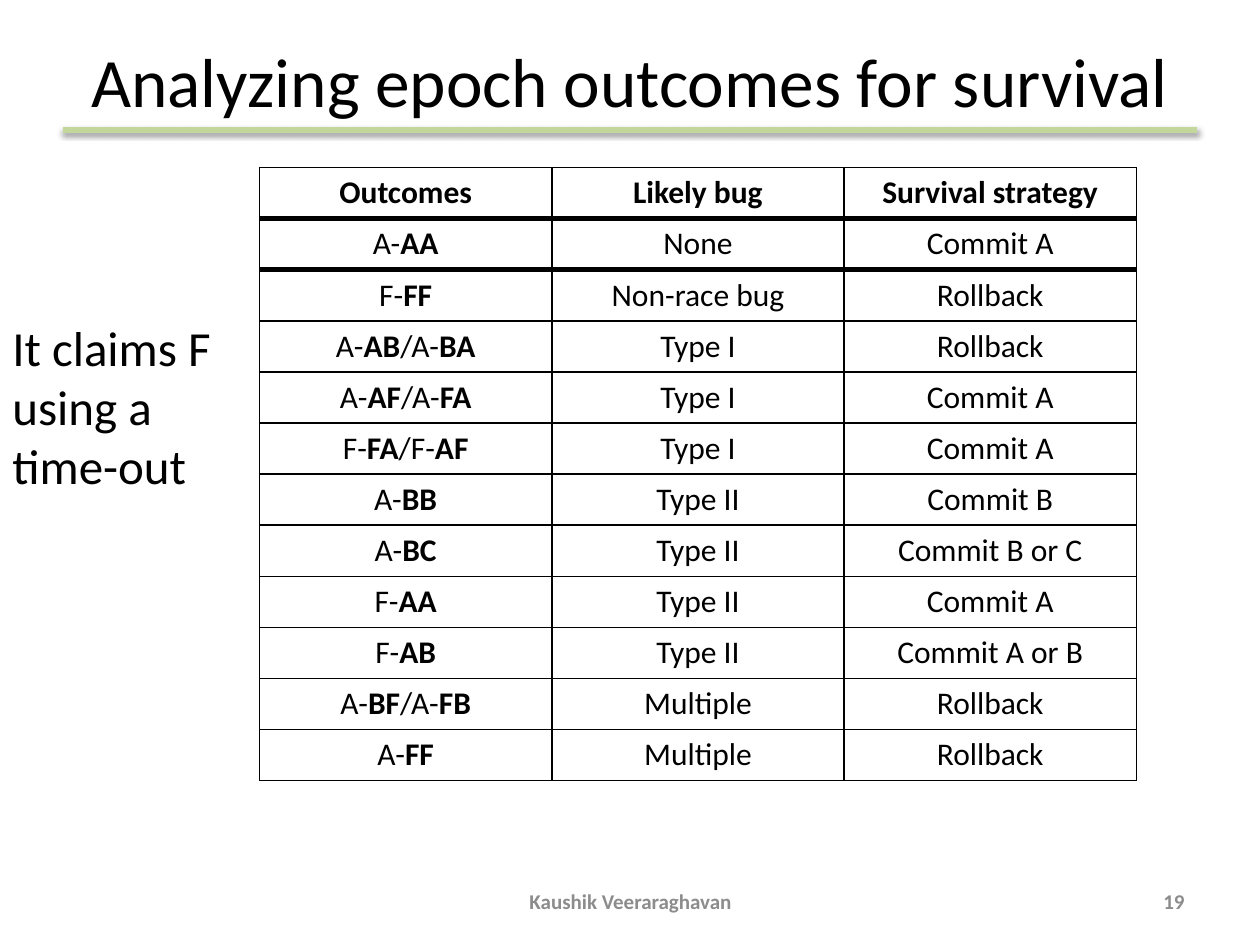
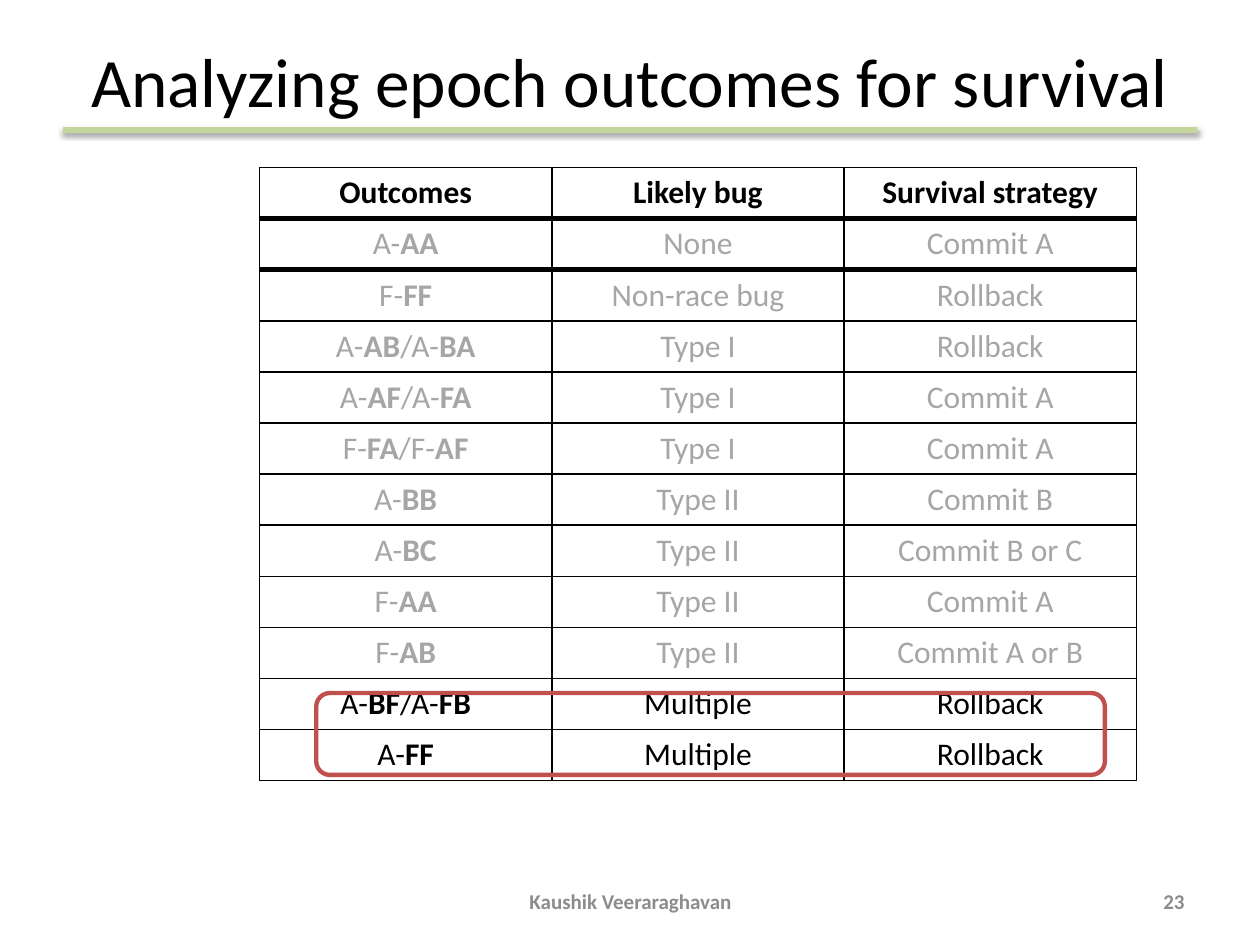
from lxml import etree
from pptx import Presentation
from pptx.dml.color import RGBColor
from pptx.enum.shapes import MSO_CONNECTOR, MSO_SHAPE
from pptx.enum.text import MSO_ANCHOR, PP_ALIGN
from pptx.oxml import parse_xml
from pptx.oxml.ns import nsdecls, qn
from pptx.util import Inches, Pt

STRAIGHT = MSO_CONNECTOR.STRAIGHT
ROUNDED = MSO_SHAPE.ROUNDED_RECTANGLE
TOP, MIDDLE = MSO_ANCHOR.TOP, MSO_ANCHOR.MIDDLE
LEFT, CENTER, RIGHT = PP_ALIGN.LEFT, PP_ALIGN.CENTER, PP_ALIGN.RIGHT

BLACK = RGBColor(0x00, 0x00, 0x00)
DIMMED = RGBColor(0xA6, 0xA6, 0xA6)
FOOTER_GREY = RGBColor(0x8C, 0x8C, 0x8C)
RULE_GREEN = RGBColor(0xC3, 0xD6, 0x9B)
HIGHLIGHT_RED = RGBColor(0xC0, 0x50, 0x4D)
FONT = "Calibri"

TITLE = "Analyzing epoch outcomes for survival"
AUTHOR = "Kaushik Veeraraghavan"
HEADINGS = ["Outcomes", "Likely bug", "Survival strategy"]
OUTCOMES = [
    ("A-AA", "None", "Commit A"),
    ("F-FF", "Non-race bug", "Rollback"),
    ("A-AB/A-BA", "Type I", "Rollback"),
    ("A-AF/A-FA", "Type I", "Commit A"),
    ("F-FA/F-AF", "Type I", "Commit A"),
    ("A-BB", "Type II", "Commit B"),
    ("A-BC", "Type II", "Commit B or C"),
    ("F-AA", "Type II", "Commit A"),
    ("F-AB", "Type II", "Commit A or B"),
    ("A-BF/A-FB", "Multiple", "Rollback"),
    ("A-FF", "Multiple", "Rollback"),
]
ROWS = [HEADINGS] + OUTCOMES
SLIDES = [
    {"number": "19", "first_active_row": 1},
    {"number": "23", "first_active_row": 10},
]


def add_span(para, text, size, color, bold=False):
    span = para.add_run()
    span.text = text
    span.font.name = FONT
    span.font.size = Pt(size)
    span.font.color.rgb = color
    span.font.bold = bold


def add_text(page, area, text, size, color, align, anchor=MIDDLE, bold=False):
    box = page.shapes.add_textbox(*[Inches(length) for length in area])
    box.text_frame.word_wrap = True
    box.text_frame.vertical_anchor = anchor
    para = box.text_frame.paragraphs[0]
    para.alignment = align
    add_span(para, text, size, color, bold)


deck = Presentation()
deck.slide_width = Inches(10)
deck.slide_height = Inches(7.5)

for settings in SLIDES:
    page = deck.slides.add_slide(deck.slide_layouts[6])

    rule = page.shapes.add_connector(
        STRAIGHT, Inches(0.5), Inches(1.03), Inches(9.5), Inches(1.03))
    rule.line.color.rgb = RULE_GREEN
    rule.line.width = Pt(3.5)
    effects = etree.SubElement(rule.line._get_or_add_ln().getparent(), qn("a:effectLst"))
    effects.append(parse_xml(
        f'<a:outerShdw {nsdecls("a")} blurRad="{Pt(3.1)}" dist="{Pt(1.6)}" dir="5400000" '
        'rotWithShape="0"><a:srgbClr val="000000"><a:alpha val="38000"/></a:srgbClr>'
        '</a:outerShdw>'))

    table = page.shapes.add_table(
        len(ROWS), len(HEADINGS),
        Inches(2.06), Inches(1.33), Inches(6.96), Inches(4.87)).table
    table.horz_banding = False
    for row_index, values in enumerate(ROWS):
        is_heading = row_index == 0
        is_active = is_heading or row_index >= settings["first_active_row"]
        color = BLACK if is_active else DIMMED
        widths = {
            "lnL": 1,
            "lnR": 1,
            "lnT": 3 if row_index in (1, 2) else 1,
            "lnB": 3 if row_index in (0, 1) else 1,
        }
        for column_index, value in enumerate(values):
            cell = table.cell(row_index, column_index)
            properties = cell._tc.get_or_add_tcPr()
            for side, width in widths.items():
                properties.append(parse_xml(
                    f'<a:{side} {nsdecls("a")} w="{Pt(width)}"><a:solidFill>'
                    f'<a:srgbClr val="{BLACK}"/></a:solidFill></a:{side}>'))
            cell.fill.background()
            para = cell.text_frame.paragraphs[0]
            para.alignment = CENTER
            if is_heading or column_index > 0:
                add_span(para, value, 18, color, is_heading)
                continue
            for position, outcome in enumerate(value.split("/")):
                separator = "/" if position else ""
                add_span(para, separator + outcome[:2], 18, color)
                add_span(para, outcome[2:], 18, color, True)

    if settings["number"] == "23":
        highlight = page.shapes.add_shape(
            ROUNDED, Inches(2.51), Inches(5.5), Inches(6.26), Inches(0.65))
        highlight.shadow.inherit = False
        highlight.fill.background()
        highlight.line.color.rgb = HIGHLIGHT_RED
        highlight.line.width = Pt(2.5)

    add_text(page, (0.5, 0.3, 9, 0.66), TITLE, 39.6, BLACK, CENTER)
    add_text(page, (3.42, 6.95, 3.17, 0.4), AUTHOR, 12, FOOTER_GREY, CENTER, bold=True)
    add_text(page, (7.17, 6.95, 2.33, 0.4), settings["number"], 12, FOOTER_GREY, RIGHT, bold=True)
    if settings["number"] == "19":
        add_text(page, (0, 2.47, 2.08, 1.51), "It claims F using a time-out", 28, BLACK, LEFT, TOP)

deck.save("out.pptx")
